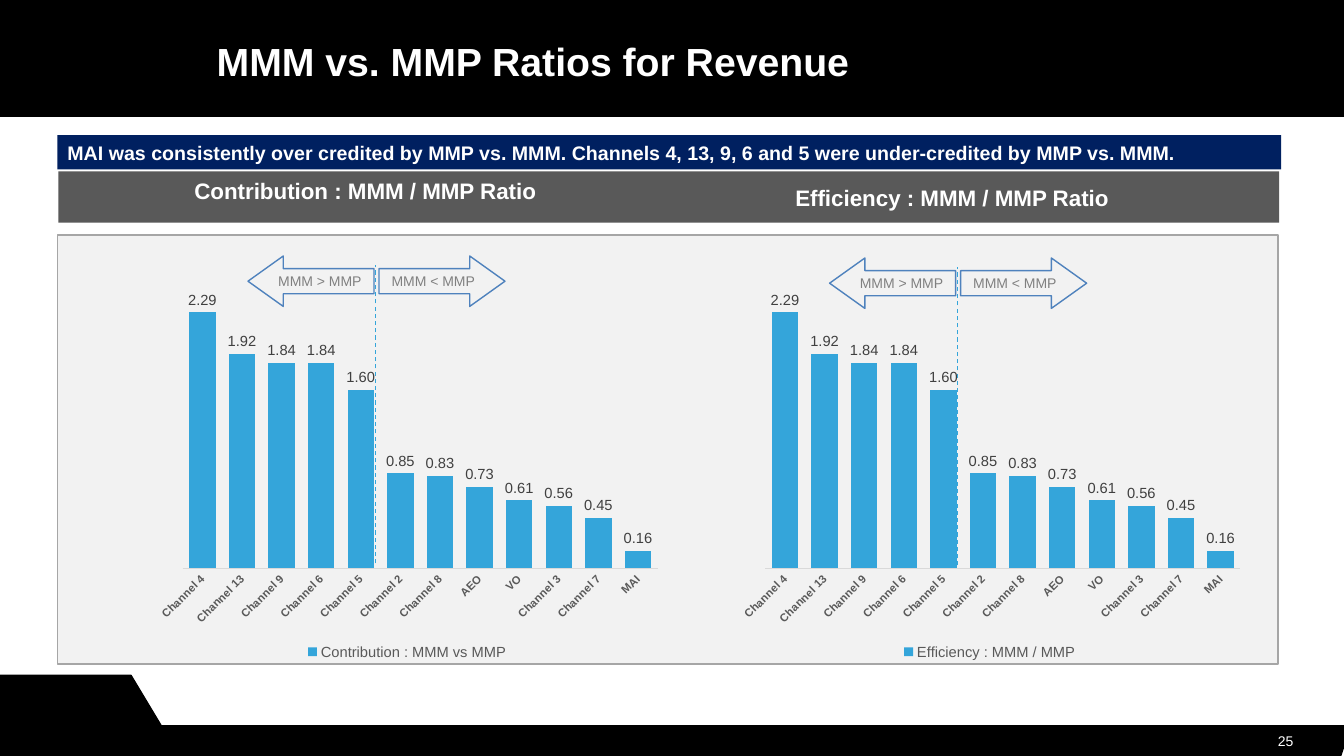
import lxml.etree
import pptx
import pptx.chart.data
import pptx.dml.color
import pptx.enum.chart
import pptx.enum.dml
import pptx.enum.shapes
import pptx.enum.text
import pptx.oxml
import pptx.oxml.ns
import pptx.util

CELL = pptx.util.Inches(0.1)
COLUMNS, ROWS = 133.33, 75
NUMBER_FORMAT = r'_(* #,##0.00_);_(* \(#,##0.00\);_(* "-"??_);_(@_)'
ALIGN = pptx.enum.text.PP_ALIGN
SHAPE = pptx.enum.shapes.MSO_SHAPE


def cells(*counts):
    return [pptx.util.Emu(round(count * CELL)) for count in counts]


def color(value):
    return pptx.dml.color.RGBColor.from_string(value)


class RatioSlide:
    font_name = "Arial"
    black, white, panel, blue = "000000", "FFFFFF", "F2F2F2", "34A5DA"

    def __init__(self, presentation):
        self.slide = presentation.slides.add_slide(presentation.slide_layouts[5])
        self.shapes = self.slide.shapes

    def style_font(self, font, size, fill, bold=False):
        font.name = self.font_name
        font.size = pptx.util.Pt(size)
        font.bold = bold
        font.color.rgb = color(fill)

    def style_shape(self, shape, fill, line=None):
        shape.shadow.inherit = False
        shape.fill.solid()
        shape.fill.fore_color.rgb = color(fill)
        if line:
            shape.line.color.rgb = color(line)
            shape.line.width = pptx.util.Pt(1)
        else:
            shape.line.fill.background()

    def label(self, shape, text, size, fill=white, bold=False, align=ALIGN.LEFT, inset=1):
        frame = shape.text_frame
        frame.word_wrap = True
        frame.auto_size = pptx.enum.text.MSO_AUTO_SIZE.NONE
        frame.vertical_anchor = pptx.enum.text.MSO_ANCHOR.MIDDLE
        frame.margin_left, frame.margin_right = cells(inset, inset)
        frame.margin_top = frame.margin_bottom = 0
        paragraph = frame.paragraphs[0]
        paragraph.alignment = align
        run = paragraph.add_run()
        run.text = text
        self.style_font(run.font, size, fill, bold)

    def title(self, text, left, top, width, height):
        shape = self.shapes.title
        shape.left, shape.top, shape.width, shape.height = cells(left, top, width, height)
        self.label(shape, text, 28, bold=True)
        shape.element.getparent().append(shape.element)

    def text(self, text, left, top, width, height, size, bold, align):
        shape = self.shapes.add_textbox(*cells(left, top, width, height))
        self.label(shape, text, size, bold=bold, align=align)

    def box(self, left, top, width, height, fill, line=None, kind=SHAPE.RECTANGLE):
        shape = self.shapes.add_shape(kind, *cells(left, top, width, height))
        self.style_shape(shape, fill, line)
        return shape

    def outline(self, points):
        builder = self.shapes.build_freeform(*points[0], scale=CELL)
        builder.add_line_segments(points[1:], close=True)
        self.style_shape(builder.convert_to_shape(), self.black, self.black)

    def arrow(self, kind, text, left, top):
        shape = self.box(left, top, 12.5, 5, self.panel, "4F82BD", kind)
        shape.adjustments[0], shape.adjustments[1] = 0.5, 0.7
        self.label(shape, text, 10, "808080", align=ALIGN.CENTER, inset=0)

    def dashed_line(self, column, top, bottom):
        connector = self.shapes.add_connector(
            pptx.enum.shapes.MSO_CONNECTOR.STRAIGHT, *cells(column, bottom, column, top))
        connector.line.color.rgb = color(self.blue)
        connector.line.width = pptx.util.Pt(0.75)
        connector.line.dash_style = pptx.enum.dml.MSO_LINE.DASH
        properties = connector.element.spPr
        lxml.etree.SubElement(properties, pptx.oxml.ns.qn("a:effectLst"))

    def column_chart(self, name, ratios, left, top, width, height):
        data = pptx.chart.data.CategoryChartData(number_format=NUMBER_FORMAT)
        data.categories = list(ratios)
        data.add_series(name, ratios.values())
        kind = pptx.enum.chart.XL_CHART_TYPE.COLUMN_CLUSTERED
        chart = self.shapes.add_chart(kind, *cells(left, top, width, height), data).chart
        self.style_font(chart.font, 10, self.black)
        chart.has_title = False
        chart.has_legend = True
        chart.legend.position = pptx.enum.chart.XL_LEGEND_POSITION.BOTTOM
        chart.legend.include_in_layout = False
        self.style_font(chart.legend.font, 10.5, "595959")
        self.style_axes(chart)
        self.style_columns(chart.plots[0])
        self.place_plot(chart)

    def style_axes(self, chart):
        axis = chart.category_axis
        axis.major_tick_mark = axis.minor_tick_mark = pptx.enum.chart.XL_TICK_MARK.NONE
        axis.format.line.color.rgb = color("D9D9D9")
        axis.format.line.width = pptx.util.Pt(0.75)
        self.style_font(axis.tick_labels.font, 8, "595959", True)
        axis._element.find(".//" + pptx.oxml.ns.qn("a:bodyPr")).set("rot", "-2700000")
        value_axis = chart.value_axis
        value_axis.minimum_scale, value_axis.maximum_scale = 0, 2.5
        value_axis.has_major_gridlines = False
        value_axis.visible = False

    def style_columns(self, plot):
        plot.gap_width = 50
        plot.vary_by_categories = False
        series = plot.series[0]
        series.format.fill.solid()
        series.format.fill.fore_color.rgb = color(self.blue)
        labels = series.data_labels
        labels.show_value = True
        labels.position = pptx.enum.chart.XL_LABEL_POSITION.OUTSIDE_END
        labels.number_format = NUMBER_FORMAT
        labels.number_format_is_linked = False
        self.style_font(labels.font, 10.5, "404040")

    def place_plot(self, chart):
        area = chart._chartSpace.chart.plotArea
        for layout in area.findall(pptx.oxml.ns.qn("c:layout")):
            area.remove(layout)
        shares = {"x": 0.07, "y": 0.02, "w": 0.91, "h": 0.73}
        modes = "".join(f'<c:{key}Mode val="edge"/>' for key in "xy")
        sizes = "".join(f'<c:{key} val="{share}"/>' for key, share in shares.items())
        area.insert(0, pptx.oxml.parse_xml(
            f'<c:layout {pptx.oxml.ns.nsdecls("c")}><c:manualLayout>'
            f'<c:layoutTarget val="inner"/>{modes}{sizes}</c:manualLayout></c:layout>'))


def main():
    presentation = pptx.Presentation()
    presentation.slide_width, presentation.slide_height = cells(COLUMNS, ROWS)
    page = RatioSlide(presentation)

    page.outline([(0, 67.3), (12.7, 67.2), (15.8, 71.7), (133.5, 72.1), (133.3, 75), (0, 75)])
    page.box(0, 0, COLUMNS, 11.5, page.black, page.black)
    page.box(5.8, 17, 121.1, 5.1, "595959")
    page.box(5.7, 23.3, 121.1, 42.6, page.panel, "A6A6A6")
    page.text("25", 118.7, 72.4, 10.6, 2.2, 10, False, ALIGN.RIGHT)
    page.title("MMM vs. MMP Ratios for Revenue", 20.5, 1.7, 92.1, 8.6)
    banner = page.box(5.7, 13.4, 121.4, 3.4, "002060")
    page.label(banner, "MAI was consistently over credited by MMP vs. MMM. "
               "Channels 4, 13, 9, 6 and 5 were under-credited by MMP vs. MMM.", 14, bold=True)

    ratios = {
        "Channel 4": 2.29, "Channel 13": 1.92, "Channel 9": 1.84, "Channel 6": 1.84,
        "Channel 5": 1.6, "Channel 2": 0.85, "Channel 8": 0.83, "AEO": 0.73,
        "VO": 0.61, "Channel 3": 0.56, "Channel 7": 0.45, "MAI": 0.16,
    }
    halves = [
        ("Contribution : MMM / MMP Ratio", 10.5, 17.1, "Contribution : MMM vs MMP", 14.5, 37.3, 25.4),
        ("Efficiency : MMM / MMP Ratio", 68.7, 17.7, "Efficiency : MMM / MMP", 72.3, 95, 25.6),
    ]
    for heading, left, top, name, chart_left, divider, arrow_top in halves:
        page.text(heading, left, top, 51.5, 3.7, 16, True, ALIGN.CENTER)
        page.column_chart(name, ratios, chart_left, 27.9, 51.8, 38)
        page.dashed_line(divider, arrow_top + 0.9, arrow_top + 30.5)
        page.arrow(SHAPE.RIGHT_ARROW, "MMM < MMP", divider + 0.3, arrow_top)
        page.arrow(SHAPE.LEFT_ARROW, "MMM > MMP", divider - 12.7, arrow_top)

    presentation.save("out.pptx")


if __name__ == "__main__":
    main()
